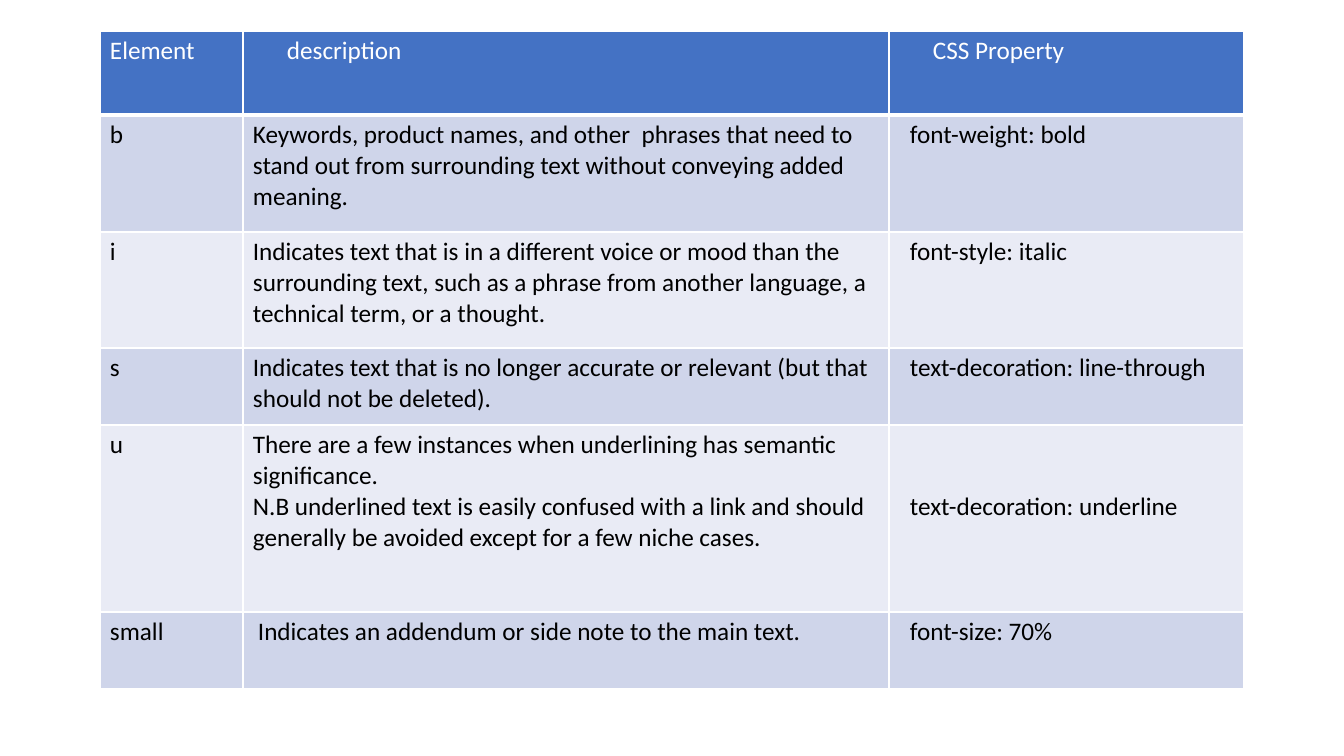
from lxml import etree
from pptx import Presentation
from pptx import util as u
from pptx.dml.color import RGBColor
from pptx.oxml import ns

WHITE = RGBColor(0xFF, 0xFF, 0xFF)
BLACK = RGBColor(0x00, 0x00, 0x00)
BLUE = RGBColor(0x44, 0x72, 0xC4)
BAND_DARK = RGBColor(0xCF, 0xD5, 0xEA)
BAND_LIGHT = RGBColor(0xE9, 0xEB, 0xF5)

EMU_PER_PX = 914400 / 100.8
COLS = [143, 646, 355]
ROWS = [84, 117, 116, 77, 187, 77]
PAD = 10
PAD_TOP = 5
HEADER_INDENT = 44
PROPERTY_INDENT = 21

HEADER = ["Element", "description", "CSS Property"]
ELEMENTS = [
    ["b", "Keywords, product names, and other  phrases that need to stand out "
          "from surrounding text without conveying added meaning.",
     "font-weight: bold"],
    ["i", "Indicates text that is in a different voice or mood than the "
          "surrounding text, such as a phrase from another language, a "
          "technical term, or a thought.",
     "font-style: italic"],
    ["s", "Indicates text that is no longer accurate or relevant (but that "
          "should not be deleted).",
     "text-decoration: line-through"],
    ["u", "There are a few instances when underlining has semantic "
          "significance.\nN.B underlined text is easily confused with a link "
          "and should generally be avoided except for a few niche cases.",
     "text-decoration: underline"],
    ["small", "Indicates an addendum or side note to the main text.",
     "font-size: 70%"],
]
INDENTS = {(0, 1): HEADER_INDENT, (0, 2): HEADER_INDENT, (5, 1): 15}
TOPS = {(4, 2): 67}


def px(n):
    return u.Emu(round(n * EMU_PER_PX))


def write(tf, content, size=18, font="Calibri", color=BLACK):
    for i, line in enumerate(content.split("\n")):
        p = tf.add_paragraph() if i else tf.paragraphs[0]
        r = p.add_run()
        r.text = line
        r.font.size = u.Pt(size)
        r.font.name = font
        r.font.color.rgb = color


class Deck:
    def __init__(self, width, height):
        self.prs = Presentation()
        self.prs.slide_width = px(width)
        self.prs.slide_height = px(height)
        self.s = self.prs.slides.add_slide(self.prs.slide_layouts[6])

    def table(self, x, y, cols, rows):
        frame = self.s.shapes.add_table(len(rows), len(cols), px(x), px(y),
                                        px(sum(cols)), px(sum(rows)))
        for col, width in zip(frame.table.columns, cols):
            col.width = px(width)
        for row, height in zip(frame.table.rows, rows):
            row.height = px(height)
        return frame.table

    def border(self, cell, side, width, color=WHITE):
        tcPr = cell._tc.get_or_add_tcPr()
        ln = etree.SubElement(tcPr, ns.qn(f"a:ln{side}"), w=str(u.Pt(width)))
        fill = etree.SubElement(ln, ns.qn("a:solidFill"))
        etree.SubElement(fill, ns.qn("a:srgbClr"), val=str(color))

    def cell(self, cell, content, fill, color, left, top, widths):
        for side, width in zip("LRTB", widths):
            self.border(cell, side, width)
        cell.fill.solid()
        cell.fill.fore_color.rgb = fill
        cell.margin_left = px(left)
        cell.margin_right = px(PAD)
        cell.margin_top = px(top)
        cell.margin_bottom = px(PAD_TOP)
        write(cell.text_frame, content, color=color)


def main():
    deck = Deck(1344, 756)
    table = deck.table(100, 31, COLS, ROWS)
    for i, row in enumerate([HEADER] + ELEMENTS):
        header = i == 0
        fill = BLUE if header else BAND_DARK if i % 2 else BAND_LIGHT
        widths = (1, 1, 3 if i == 1 else 1, 3 if header else 1)
        for j, content in enumerate(row):
            left = INDENTS.get((i, j), PROPERTY_INDENT if j == 2 else PAD)
            deck.cell(table.cell(i, j), content, fill,
                      WHITE if header else BLACK, left,
                      TOPS.get((i, j), PAD_TOP), widths)
    deck.prs.save("out.pptx")


if __name__ == "__main__":
    main()
